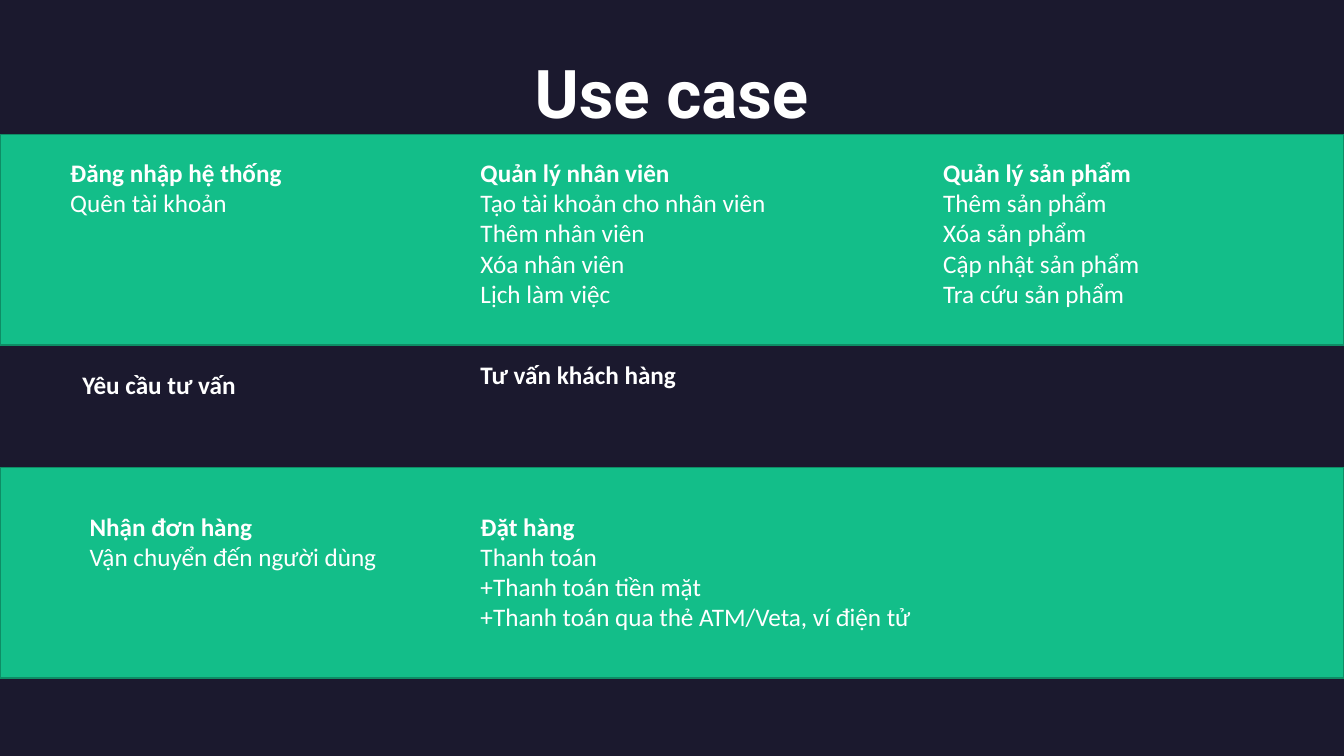
from dataclasses import dataclass

from pptx import Presentation
from pptx import util as u
from pptx.dml.color import RGBColor
from pptx.enum import shapes, text

PAGE_WIDTH, PAGE_HEIGHT = 33.87, 19.05
NIGHT, GREEN, DARK_GREEN, WHITE = "1B192E", "13BE89", "0E8D65", "FFFFFF"
MIDDLE_COLUMN, RIGHT_COLUMN = 11.86, 23.52
LINE_HEIGHT, INSET = 0.77, 0.25


@dataclass
class Box:
    """An area of the page, in centimetres."""
    left: float
    top: float
    width: float
    height: float

    def lengths(self):
        return [u.Cm(side) for side in (self.left, self.top, self.width, self.height)]


@dataclass
class UseCase:
    """A heading with its steps, placed from the corner of its band."""
    left: float
    top: float
    width: float
    heading: str
    steps: tuple = ()


def color(code):
    return RGBColor.from_string(code)


def add_span(para, words, font, size, bold):
    span = para.add_run()
    span.text = words
    span.font.name = font
    span.font.size = u.Pt(size)
    span.font.bold = bold
    span.font.color.rgb = color(WHITE)


def add_title(page, box, words):
    frame = page.shapes.add_textbox(*box.lengths()).text_frame
    frame.word_wrap = True
    frame.margin_left = frame.margin_right = frame.margin_top = frame.margin_bottom = 0
    para = frame.paragraphs[0]
    para.alignment = text.PP_ALIGN.CENTER
    para.line_spacing = 0.9
    add_span(para, words, "Roboto", 48, True)


def add_use_case(page, box, case):
    frame = page.shapes.add_textbox(*box.lengths()).text_frame
    frame.word_wrap = True
    frame.auto_size = text.MSO_AUTO_SIZE.SHAPE_TO_FIT_TEXT
    add_span(frame.paragraphs[0], case.heading, "Calibri", 18, True)
    for step in case.steps:
        add_span(frame.add_paragraph(), step, "Calibri", 18, False)


def add_band(page, box, cases, fill=None):
    """Place a row of use cases, on a filled bar if a fill is given."""
    if fill:
        bar = page.shapes.add_shape(shapes.MSO_SHAPE.RECTANGLE, *box.lengths())
        bar.shadow.inherit = False
        bar.fill.solid()
        bar.fill.fore_color.rgb = color(fill)
        bar.line.color.rgb = color(DARK_GREEN)
        bar.line.width = u.Pt(1)
    for case in cases:
        height = INSET + LINE_HEIGHT * (1 + len(case.steps))
        place = Box(box.left + case.left, box.top + case.top, case.width, height)
        add_use_case(page, place, case)


def main():
    deck = Presentation()
    deck.slide_width, deck.slide_height = u.Cm(PAGE_WIDTH), u.Cm(PAGE_HEIGHT)
    page = deck.slides.add_slide(deck.slide_layouts[6])
    page.background.fill.solid()
    page.background.fill.fore_color.rgb = color(NIGHT)

    management = [
        UseCase(1.52, 0.45, 6.63, "Đăng nhập hệ thống", ("Quên tài khoản",)),
        UseCase(MIDDLE_COLUMN, 0.45, 8, "Quản lý nhân viên", (
            "Tạo tài khoản cho nhân viên", "Thêm nhân viên",
            "Xóa nhân viên", "Lịch làm việc")),
        UseCase(RIGHT_COLUMN, 0.45, 5.9, "Quản lý sản phẩm", (
            "Thêm sản phẩm", "Xóa sản phẩm",
            "Cập nhật sản phẩm", "Tra cứu sản phẩm")),
    ]
    advice = [
        UseCase(1.83, 0.47, 4.95, "Yêu cầu tư vấn"),
        UseCase(MIDDLE_COLUMN, 0.22, 6.12, "Tư vấn khách hàng"),
    ]
    orders = [
        UseCase(2.01, 0.97, 7.9, "Nhận đơn hàng", ("Vận chuyển đến người dùng",)),
        UseCase(MIDDLE_COLUMN, 0.97, 11.6, "Đặt hàng", (
            "Thanh toán", "+Thanh toán tiền mặt",
            "+Thanh toán qua thẻ ATM/Veta, ví điện tử")),
    ]

    add_band(page, Box(0, 3.39, PAGE_WIDTH, 5.31), management, GREEN)
    add_band(page, Box(0, 8.7, PAGE_WIDTH, 3.08), advice)
    add_band(page, Box(0, 11.78, PAGE_WIDTH, 5.31), orders, GREEN)
    add_title(page, Box(1.52, 1.52, 30.81, 2.31), "Use case")
    deck.save("out.pptx")


if __name__ == "__main__":
    main()
